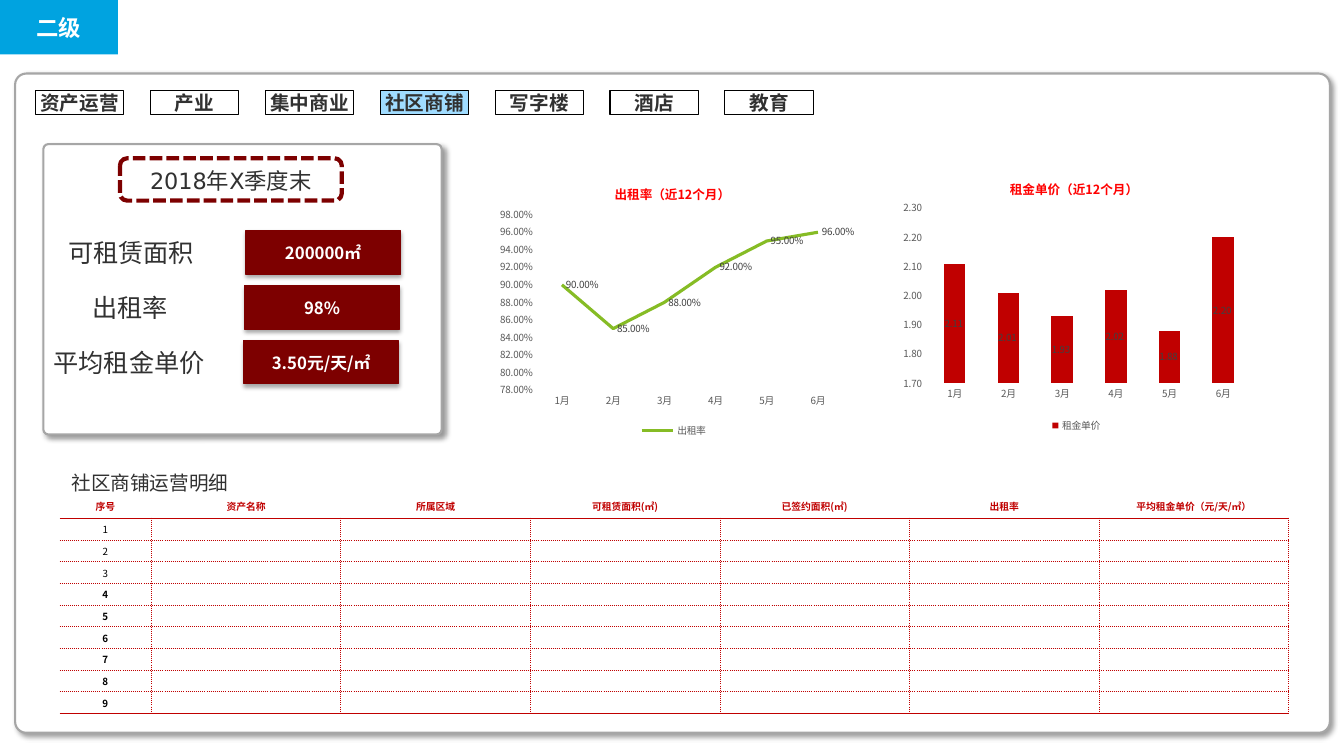
from lxml import etree
from pptx import Presentation, util as u
from pptx.chart.data import CategoryChartData
from pptx.dml.color import RGBColor
from pptx.enum import chart as ch, dml, shapes, text
from pptx.oxml import parse_xml
from pptx.oxml.ns import nsdecls, qn

SANS, CJK = "DejaVu Sans", "Noto Sans CJK SC"
DARK, MAROON, RED, GREY = "313131", "7D0000", "C00000", "A6A6A6"

TABS = ["资产运营", "产业", "集中商业", "社区商铺", "写字楼", "酒店", "教育"]
ACTIVE_TAB = "社区商铺"
# label, value, value box left, label left, label width
METRICS = [
    ("可租赁面积", "200000㎡", 2.44, 0.57, 1.46),
    ("出租率", "98%", 2.43, 0.81, 0.96),
    ("平均租金单价", "3.50元/天/㎡", 2.42, 0.42, 1.72),
]
MONTHS = [f"{month}月" for month in range(1, 7)]
CHARTS = [
    dict(kind=ch.XL_CHART_TYPE.LINE, left=4.89, top=1.62, title="出租率（近12个月）",
         series="出租率", values=[0.9, 0.85, 0.88, 0.92, 0.95, 0.96], color="86BC25",
         scale=(0.78, 0.98, 0.02), number_format="0.00%",
         title_at=(0.33, 0.065), plot_at=(0.12, 0.185, 0.85, 0.63)),
    dict(kind=ch.XL_CHART_TYPE.COLUMN_STACKED, left=8.88, top=1.57, title="租金单价（近12个月）",
         series="租金单价", values=[2.11, 2.01, 1.93, 2.02, 1.88, 2.2], color=RED,
         scale=(1.7, 2.3, 0.1), number_format="0.00_ ",
         title_at=(0.31, 0.065), plot_at=(0.09, 0.18, 0.89, 0.63)),
]
HEADERS = ["序号", "资产名称", "所属区域", "可租赁面积(㎡)", "已签约面积(㎡)", "出租率",
           "平均租金单价（元/天/㎡）"]
DETAIL_ROWS, FIRST_BOLD_ROW = 9, 4


def rgb(value):
    return RGBColor.from_string(value)


def style_font(font, size, color, bold=False, name=CJK):
    font.size, font.bold, font.name = u.Pt(size), bold, name
    font.color.rgb = rgb(color)
    properties = font._element
    east_asian = etree.Element(qn("a:ea"), typeface=CJK)
    properties.find(qn("a:latin")).addnext(east_asian)


def write(shape, content, size, color, bold=False, name=CJK, inset=0.1, wrap=True,
          align=text.PP_ALIGN.CENTER, anchor=text.MSO_ANCHOR.MIDDLE, spacing=None):
    frame = shape.text_frame
    frame.text = content
    frame.auto_size, frame.word_wrap = text.MSO_AUTO_SIZE.NONE, wrap
    frame.vertical_anchor = anchor
    frame.margin_left = frame.margin_right = u.Inches(inset)
    frame.margin_top = frame.margin_bottom = u.Inches(inset / 2)
    paragraph = frame.paragraphs[0]
    paragraph.alignment, paragraph.line_spacing = align, spacing
    style_font(paragraph.runs[0].font, size, color, bold, name)


def add_box(slide, left, top, width, height, line, weight=0.75, fill=None, rounded=None):
    kind = shapes.MSO_SHAPE.RECTANGLE if rounded is None else shapes.MSO_SHAPE.ROUNDED_RECTANGLE
    box = slide.shapes.add_shape(kind, *map(u.Inches, (left, top, width, height)))
    if rounded is not None:
        box.adjustments[0] = rounded
    box.shadow.inherit = False
    if fill:
        box.fill.solid()
        box.fill.fore_color.rgb = rgb(fill)
    else:
        box.fill.background()
    box.line.color.rgb, box.line.width = rgb(line), u.Pt(weight)
    return box


def add_shadow(box, opacity, blur, distance, angle):
    effects = box._element.spPr.find(qn("a:effectLst"))
    effects.append(parse_xml(
        f'<a:outerShdw {nsdecls("a")} blurRad="{u.Pt(blur)}" dist="{u.Pt(distance)}" '
        f'dir="{angle * 60000}" algn="ctr" rotWithShape="0"><a:srgbClr val="000000">'
        f'<a:alpha val="{opacity * 1000}"/></a:srgbClr></a:outerShdw>'))


def add_panel(slide, *place):
    panel = add_box(slide, *place, GREY, 1.5, "FFFFFF", 0.017)
    add_shadow(panel, 40, 4, 3, 45)


def add_label(slide, content, left, top, width, height, size, align):
    label = slide.shapes.add_textbox(*map(u.Inches, (left, top, width, height)))
    write(label, content, size, DARK, name=SANS, wrap=False, align=align,
          anchor=text.MSO_ANCHOR.TOP, spacing=1.06)


def manual_layout(fractions, inner=False):
    names = ("x", "y", "w", "h")[:len(fractions)]
    target = '<c:layoutTarget val="inner"/>' if inner else ""
    modes = "".join(f'<c:{name}Mode val="edge"/>' for name in names[:2])
    values = "".join(f'<c:{name} val="{value}"/>' for name, value in zip(names, fractions))
    return parse_xml(f'<c:layout {nsdecls("c")}><c:manualLayout>{target}{modes}{values}'
                     '</c:manualLayout></c:layout>')


def add_month_chart(slide, item):
    data = CategoryChartData(number_format=item["number_format"])
    data.categories = MONTHS
    data.add_series(item["series"], item["values"])
    place = map(u.Inches, (item["left"], item["top"], 3.59, 2.76))
    chart = slide.shapes.add_chart(item["kind"], *place, data).chart
    style_font(chart.font, 7, "000000")

    chart.has_title = True
    chart.chart_title.text_frame.text = item["title"]
    style_font(chart.chart_title.text_frame.paragraphs[0].runs[0].font, 9, "FF0000", True)
    title = chart.chart_title._element
    plot_area = chart._chartSpace.chart.plotArea
    for parent in (title, plot_area):
        for old in parent.findall(qn("c:layout")):
            parent.remove(old)
    title.find(qn("c:tx")).addnext(manual_layout(item["title_at"]))
    plot_area.insert(0, manual_layout(item["plot_at"], inner=True))

    chart.has_legend = True
    chart.legend.position = ch.XL_LEGEND_POSITION.BOTTOM
    chart.legend.include_in_layout = False
    style_font(chart.legend.font, 7, "595959")
    for axis in (chart.category_axis, chart.value_axis):
        axis.major_tick_mark = axis.minor_tick_mark = ch.XL_TICK_MARK.NONE
        axis.has_major_gridlines = False
        axis.format.line.fill.background()
        style_font(axis.tick_labels.font, 7, "595959")
    axis = chart.value_axis
    axis.minimum_scale, axis.maximum_scale, axis.major_unit = item["scale"]
    axis.tick_labels.number_format = item["number_format"]
    axis.tick_labels.number_format_is_linked = False

    plot, series = chart.plots[0], chart.plots[0].series[0]
    plot.vary_by_categories = False
    labels = series.data_labels
    labels.show_value = True
    labels.number_format, labels.number_format_is_linked = item["number_format"], False
    style_font(labels.font, 7, "404040")
    if item["kind"] == ch.XL_CHART_TYPE.LINE:
        series.smooth = False
        series.marker.style = ch.XL_MARKER_STYLE.NONE
        series.format.line.color.rgb, series.format.line.width = rgb(item["color"]), u.Pt(2.25)
        labels.position = ch.XL_LABEL_POSITION.RIGHT
    else:
        plot.gap_width, plot.overlap = 150, 100
        series.format.fill.solid()
        series.format.fill.fore_color.rgb = rgb(item["color"])
        labels.position = ch.XL_LABEL_POSITION.CENTER


def set_border(cell, side, weight, dash="solid"):
    """Draw one side (L, R, T or B) of a cell; a weight of 0 hides it."""
    paint = (f'<a:solidFill><a:srgbClr val="{RED}"/></a:solidFill><a:prstDash val="{dash}"/>'
             if weight else "<a:noFill/>")
    properties = cell._tc.get_or_add_tcPr()
    position = sum(child.tag.startswith(qn("a:ln")) for child in properties)
    properties.insert(position, parse_xml(
        f'<a:ln{side} {nsdecls("a")} w="{u.Pt(weight)}">{paint}</a:ln{side}>'))


def add_detail_table(slide):
    header_height, height = 0.25, 2.19
    place = map(u.Inches, (0.59, 4.89, 12.19, height))
    table = slide.shapes.add_table(DETAIL_ROWS + 1, len(HEADERS), *place).table
    table.first_row = table.horz_banding = False
    for index, column in enumerate(table.columns):
        column.width = u.Inches(1.88 if index else 0.91)
    for index, row in enumerate(table.rows):
        row.height = u.Inches((height - header_height) / DETAIL_ROWS if index else header_height)
        for position, cell in enumerate(row.cells):
            cell.fill.background()
            cell.vertical_anchor = text.MSO_ANCHOR.MIDDLE
            cell.margin_left = cell.margin_right = cell.margin_top = u.Inches(0.01)
            cell.margin_bottom = 0
            paragraph = cell.text_frame.paragraphs[0]
            paragraph.alignment = text.PP_ALIGN.CENTER
            if index == 0 or position == 0:
                paragraph.text = str(index) if index else HEADERS[position]
                bold = index == 0 or index >= FIRST_BOLD_ROW
                style_font(paragraph.runs[0].font, 7, "000000" if index else RED, bold)
            else:
                etree.SubElement(paragraph._p, qn("a:endParaRPr"), sz="700")
            dotted = 0.5 if index else 0
            set_border(cell, "L", dotted if position else 0, "sysDot")
            set_border(cell, "R", dotted, "sysDot")
            set_border(cell, "T", 1 if index == 1 else dotted, "solid" if index == 1 else "sysDot")
            set_border(cell, "B", 0.5 if index else 1,
                       "solid" if index in (0, DETAIL_ROWS) else "sysDot")


def main():
    presentation = Presentation()
    presentation.slide_width, presentation.slide_height = u.Inches(13.33), u.Inches(7.5)
    slide = presentation.slides.add_slide(presentation.slide_layouts[5])

    title = slide.shapes.title
    title.left, title.top, title.width, title.height = map(u.Inches, (0, 0, 1.17, 0.54))
    title.fill.solid()
    title.fill.fore_color.rgb = rgb("00A3E0")
    write(title, "二级", 16, "FFFFFF", True, spacing=1.06)

    add_panel(slide, 0.15, 0.73, 13.04, 6.54)
    for index, name in enumerate(TABS):
        fill = "A0DCFF" if name == ACTIVE_TAB else None
        tab = add_box(slide, 0.35 + 1.14 * index, 0.9, 0.88, 0.24, "000000", fill=fill)
        write(tab, name, 14, DARK, True, SANS, inset=0)

    add_panel(slide, 0.43, 1.43, 3.95, 2.88)
    period = add_box(slide, 1.19, 1.57, 2.2, 0.42, MAROON, 3, rounded=0.17)
    period.line.dash_style = dml.MSO_LINE.SQUARE_DOT
    period.line._ln.find(qn("a:prstDash")).set("val", "sysDash")
    write(period, "2018年X季度末", 16, DARK, name=SANS, spacing=1.06)
    for index, (label, value, box_left, label_left, label_width) in enumerate(METRICS):
        top = 2.29 + 0.545 * index
        box = add_box(slide, box_left, top, 1.53, 0.43, MAROON, fill=MAROON)
        add_shadow(box, 35, 3.1, 1.8, 90)
        write(box, value, 12, "FFFFFF", True, wrap=False)
        add_label(slide, label, label_left, top, label_width, 0.42, 18, text.PP_ALIGN.CENTER)

    for item in CHARTS:
        add_month_chart(slide, item)
    add_detail_table(slide)
    add_label(slide, "社区商铺运营明细", 0.61, 4.61, 1.77, 0.35, 14, text.PP_ALIGN.LEFT)
    presentation.save("out.pptx")


if __name__ == "__main__":
    main()
